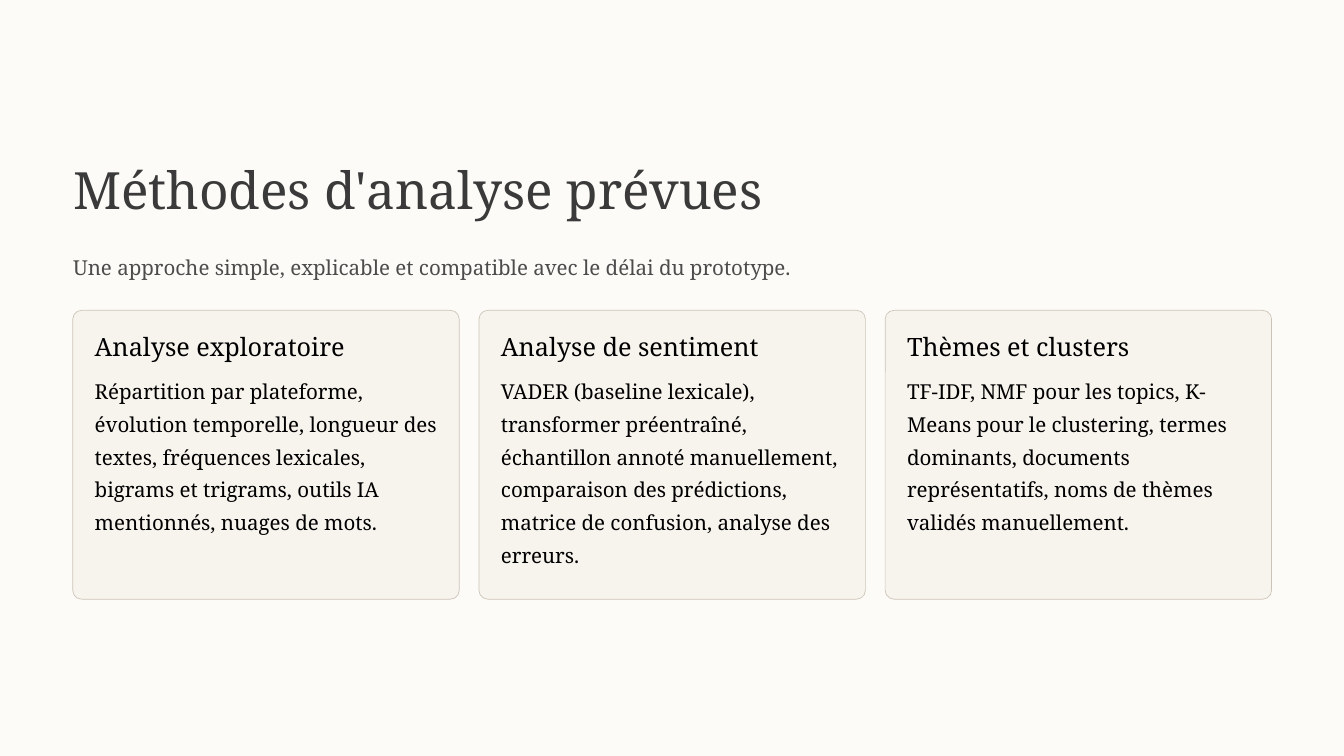
from dataclasses import dataclass

from lxml import etree
from pptx import Presentation
from pptx import util as u
from pptx.dml.color import RGBColor
from pptx.enum import shapes, text
from pptx.oxml.ns import qn

FONT = "Noto Serif"
BLACK = "000000"

# Card grid, in points
CARD_LEFT, CARD_TOP = 78, 332.5
CARD_W, CARD_H = 414, 309.5
CARD_PITCH = 435.2
CARD_RADIUS = 9.4
CARD_PAD = 23.5


@dataclass
class Card:
    heading: str
    body: str
    lines: int


CARDS = [
    Card("Analyse exploratoire",
         "Répartition par plateforme, évolution temporelle, longueur des textes, "
         "fréquences lexicales, bigrams et trigrams, outils IA mentionnés, "
         "nuages de mots.", 5),
    Card("Analyse de sentiment",
         "VADER (baseline lexicale), transformer préentraîné, échantillon annoté "
         "manuellement, comparaison des prédictions, matrice de confusion, "
         "analyse des erreurs.", 6),
    Card("Thèmes et clusters",
         "TF-IDF, NMF pour les topics, K-Means pour le clustering, termes "
         "dominants, documents représentatifs, noms de thèmes validés "
         "manuellement.", 5),
]


def set_color(fill, color: str, alpha: int = 100) -> None:
    """Apply a solid hex colour, with opacity in percent."""
    fill.solid()
    fill.fore_color.rgb = RGBColor.from_string(color)
    if alpha < 100:
        clr = fill._xPr.find(qn("a:solidFill"))[0]
        etree.SubElement(clr, qn("a:alpha")).set("val", str(alpha * 1000))


def add_text(s, content: str, left: float, top: float, width: float,
             height: float, *, size: float, leading: float,
             color: str = BLACK, sp=None) -> None:
    """Write text in a new box, or in the placeholder given as sp."""
    box = [u.Pt(v) for v in (left, top, width, height)]
    if sp is None:
        sp = s.shapes.add_textbox(*box)
    else:
        sp.left, sp.top, sp.width, sp.height = box
    tf = sp.text_frame
    tf.word_wrap = True
    tf.auto_size = text.MSO_AUTO_SIZE.NONE
    tf.vertical_anchor = text.MSO_ANCHOR.TOP
    tf.margin_left = tf.margin_top = tf.margin_right = tf.margin_bottom = 0
    p = tf.paragraphs[0]
    p.alignment = text.PP_ALIGN.LEFT
    p.line_spacing = u.Pt(leading)
    r = p.add_run()
    r.text = content
    r.font.name, r.font.size = FONT, u.Pt(size)
    set_color(r.font.fill, color)


def add_card(s, card: Card, left: float) -> None:
    """Draw one rounded panel with its heading and body."""
    sp = s.shapes.add_shape(shapes.MSO_SHAPE.ROUNDED_RECTANGLE, u.Pt(left),
                            u.Pt(CARD_TOP), u.Pt(CARD_W), u.Pt(CARD_H))
    sp.adjustments[0] = CARD_RADIUS / CARD_H
    sp.shadow.inherit = False
    set_color(sp.fill, "E6DED2", alpha=25)
    set_color(sp.line.fill, "CCC4B8")
    sp.line.width = u.Pt(0.75)

    x, w = left + CARD_PAD, CARD_W - 2 * CARD_PAD + 0.5
    add_text(s, card.heading, x, 354.2, w, 36.7, size=27, leading=33.7)
    add_text(s, card.body, x, 397.5, w, card.lines * 36, size=22, leading=35.1)


def main() -> None:
    prs = Presentation()
    prs.slide_width, prs.slide_height = u.Pt(1440), u.Pt(810)
    s = prs.slides.add_slide(prs.slide_layouts[5])
    set_color(s.background.fill, "FDFBF7")

    # Title and subtitle
    add_text(s, "Méthodes d'analyse prévues", 78.3, 167, 1284, 71.3,
             size=55, leading=68.6, color="3A3A3A", sp=s.shapes.title)
    add_text(s, "Une approche simple, explicable et compatible avec le délai "
             "du prototype.", 78.3, 265, 1356, 42.5,
             size=22, leading=35.1, color="4C4C4C")

    # Method cards
    for i, card in enumerate(CARDS):
        add_card(s, card, CARD_LEFT + i * CARD_PITCH)

    prs.save("out.pptx")


if __name__ == "__main__":
    main()
